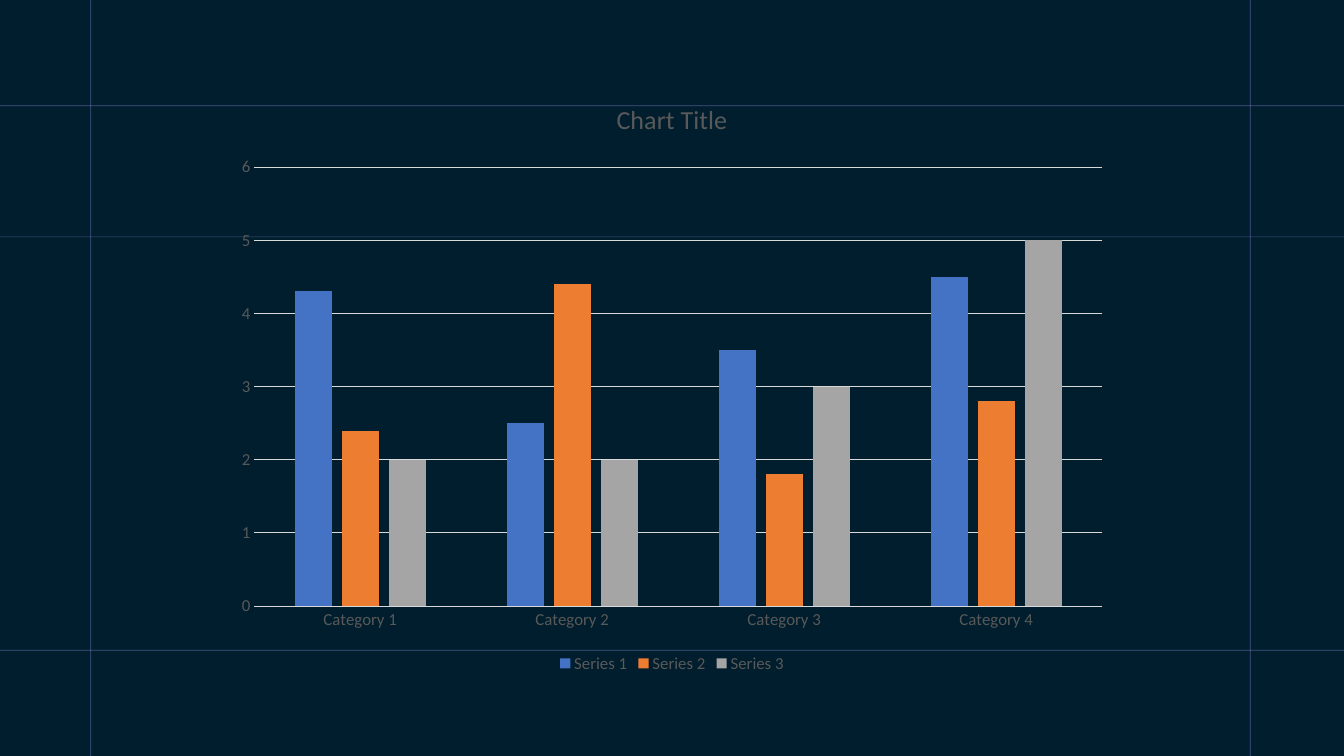
import pptx
import pptx.util
import pptx.dml.color
import pptx.chart.data
import pptx.enum.chart
import pptx.enum.shapes
import pptx.oxml
import pptx.oxml.ns
import lxml.etree

EMU_PER_PX = 9144
WIDTH, HEIGHT = 1333, 750


def px(length):
    return pptx.util.Emu(length * EMU_PER_PX)


def color(value):
    return pptx.dml.color.RGBColor.from_string(value)


class SlideBuilder:
    typeface = "Calibri"
    background = "001E2D"
    guide_color = "948BE3"
    text_color = "595959"
    rule_color = "D9D9D9"

    def __init__(self, deck):
        self.slide = deck.slides.add_slide(deck.slide_layouts[6])
        fill = self.slide.background.fill
        fill.solid()
        fill.fore_color.rgb = color(self.background)

    def style_font(self, font, size):
        font.name = self.typeface
        font.size = pptx.util.Pt(size)
        font.bold = False
        font.color.rgb = color(self.text_color)

    def style_rule(self, line):
        line.color.rgb = color(self.rule_color)
        line.width = pptx.util.Pt(0.75)

    def guide(self, x1, y1, x2, y2):
        guide = self.slide.shapes.add_connector(
            pptx.enum.shapes.MSO_CONNECTOR.STRAIGHT, px(x1), px(y1), px(x2), px(y2))
        guide.line.color.rgb = color(self.guide_color)
        guide.line.width = pptx.util.Pt(0.5)
        properties = guide._element.spPr
        tint = properties.find(".//" + pptx.oxml.ns.qn("a:srgbClr"))
        lxml.etree.SubElement(tint, pptx.oxml.ns.qn("a:alpha"), val="50000")
        lxml.etree.SubElement(properties, pptx.oxml.ns.qn("a:effectLst"))

    def column_chart(self, left, top, width, height, title, categories, series):
        data = pptx.chart.data.CategoryChartData()
        data.categories = categories
        for name, values, _ in series:
            data.add_series(name, values)
        chart = self.slide.shapes.add_chart(
            pptx.enum.chart.XL_CHART_TYPE.COLUMN_CLUSTERED,
            px(left), px(top), px(width), px(height), data).chart
        self.style_font(chart.font, 12)

        chart.has_title = True
        heading = chart.chart_title.text_frame.paragraphs[0].add_run()
        heading.text = title
        self.style_font(heading.font, 18.6)
        chart.chart_title.include_in_layout = False

        chart.has_legend = True
        chart.legend.position = pptx.enum.chart.XL_LEGEND_POSITION.BOTTOM
        chart.legend.include_in_layout = False
        self.style_font(chart.legend.font, 12)

        for axis in (chart.category_axis, chart.value_axis):
            axis.major_tick_mark = pptx.enum.chart.XL_TICK_MARK.NONE
            axis.minor_tick_mark = pptx.enum.chart.XL_TICK_MARK.NONE
            self.style_font(axis.tick_labels.font, 12)
        self.style_rule(chart.category_axis.format.line)
        chart.value_axis.format.line.fill.background()
        chart.value_axis.has_major_gridlines = True
        self.style_rule(chart.value_axis.major_gridlines.format.line)

        plot = chart.plots[0]
        plot.vary_by_categories = False
        plot.gap_width = 219
        plot.overlap = -27
        for columns, (_, _, shade) in zip(plot.series, series):
            columns.invert_if_negative = False
            columns.format.fill.solid()
            columns.format.fill.fore_color.rgb = color(shade)


def main():
    deck = pptx.Presentation()
    deck.slide_width, deck.slide_height = px(WIDTH), px(HEIGHT)
    builder = SlideBuilder(deck)
    for x in (90, 1240):
        builder.guide(x, 0, x, HEIGHT)
    for y in (105, 235, 645):
        builder.guide(0, y, WIDTH, y)
    builder.column_chart(
        222, 79, 889, 593, "Chart Title",
        [f"Category {number}" for number in range(1, 5)],
        [("Series 1", (4.3, 2.5, 3.5, 4.5), "4472C4"),
         ("Series 2", (2.4, 4.4, 1.8, 2.8), "ED7D31"),
         ("Series 3", (2, 2, 3, 5), "A5A5A5")])
    deck.save("out.pptx")


if __name__ == "__main__":
    main()
